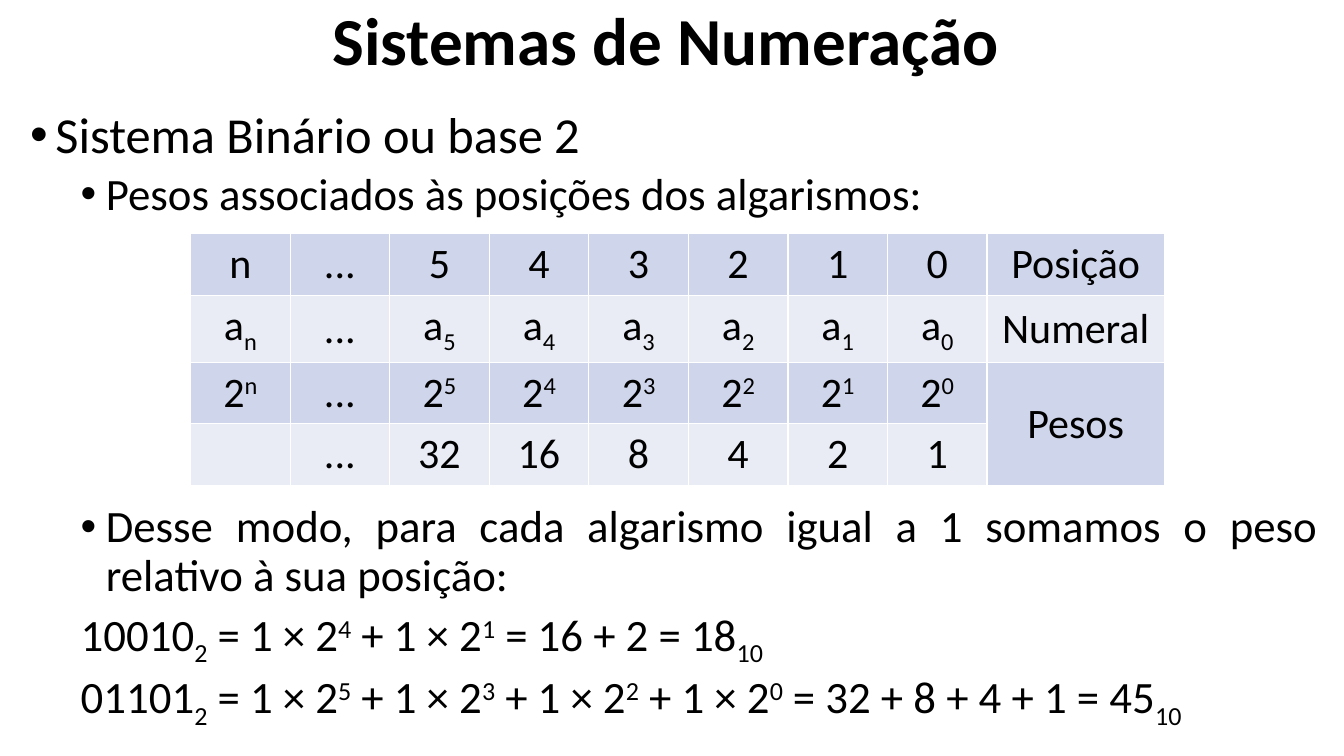
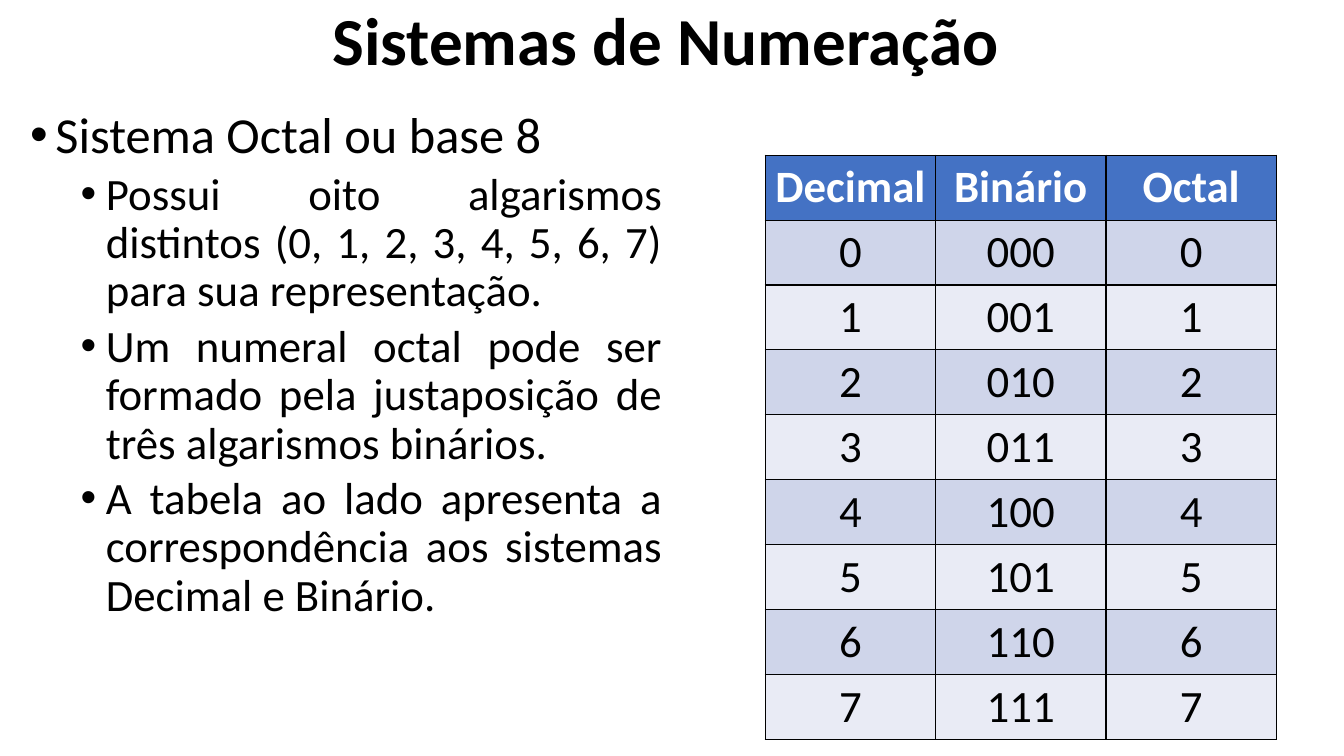
from dataclasses import dataclass
from typing import NamedTuple

from lxml import etree
from pptx import Presentation
from pptx import util as u
from pptx.dml.color import RGBColor
from pptx.enum import text as t
from pptx.oxml import ns

FONT = "Calibri"
BLACK = RGBColor(0x00, 0x00, 0x00)
WHITE = RGBColor(0xFF, 0xFF, 0xFF)
HEADER_BLUE = RGBColor(0x44, 0x72, 0xC4)
BANDS = (RGBColor(0xCF, 0xD5, 0xEA), RGBColor(0xE9, 0xEB, 0xF5))

TITLE = "Sistemas de Numeração"
LEFT = 0.2
BODY_TOP, BODY_HEIGHT = 1.04, 6.2
ROW_HEIGHT = 0.59
CELL_MARGIN = 0.05
BORDER_WIDTH = 0.96
TABLE_GAP = 203
WEIGHTS_WIDTH, LABEL_WIDTH = 9.66, 1.76


class Run(NamedTuple):
    text: str
    baseline: int = 0


@dataclass(frozen=True)
class Level:
    size: int
    margin: float
    hanging: float
    space_before: int


@dataclass(frozen=True)
class Line:
    runs: list[Run]
    level: Level
    space_before: int | None = None


@dataclass(frozen=True)
class Grid:
    left: float
    top: float
    widths: list[float]
    rows: list[list[list[Run]]]
    size: int
    border: RGBColor
    header: bool = False


TOPIC = Level(36, 0.25, 0.25, 10)
POINT = Level(32, 0.75, 0.25, 5)
FORMULA = Level(32, 0.5, 0, 5)


def plain(words: str) -> list[Run]:
    return [Run(words)]


def sub(base: str, index: str) -> list[Run]:
    return [Run(base), Run(index, -25000)]


def sup(base: str, exponent: str) -> list[Run]:
    return [Run(base), Run(exponent, 30000)]


def expansion(binary: str, exponents: list[int]) -> list[Run]:
    """Write a binary numeral as a sum of weights and its decimal value."""
    runs = sub(binary, "2")
    for place_number, exponent in enumerate(exponents):
        runs += sup((" + " if place_number else " = ") + "1 × 2", str(exponent))
    weights = [2 ** exponent for exponent in exponents]
    total = " + ".join(map(str, weights))
    return runs + sub(f" = {total} = {sum(weights)}", "10")


def add_runs(paragraph, runs: list[Run], size: int, color: RGBColor = BLACK,
             bold: bool = False) -> None:
    for part in runs:
        run = paragraph.add_run()
        run.text = part.text
        font = run.font
        font.name, font.size, font.bold = FONT, u.Pt(size), bold
        font.color.rgb = color
        if part.baseline:
            run._r.get_or_add_rPr().set("baseline", str(part.baseline))


def set_bullet(paragraph, level: Level) -> None:
    properties = paragraph._p.get_or_add_pPr()
    properties.set("marL", str(u.Inches(level.margin)))
    properties.set("indent", str(-u.Inches(level.hanging)))
    if level.hanging:
        etree.SubElement(properties, ns.qn("a:buFont"), typeface="Arial")
        etree.SubElement(properties, ns.qn("a:buChar"), char="•")
    else:
        etree.SubElement(properties, ns.qn("a:buNone"))


def place(shape, left: float, top: float, width: float, height: float) -> None:
    shape.left, shape.top = u.Inches(left), u.Inches(top)
    shape.width, shape.height = u.Inches(width), u.Inches(height)


def add_slide(deck, body_width: float, lines: list[Line]):
    slide = deck.slides.add_slide(deck.slide_layouts[1])
    title, body = slide.placeholders
    place(title, LEFT, 0.03, 12.81, 0.81)
    place(body, LEFT, BODY_TOP, body_width, BODY_HEIGHT)
    for holder in (title, body):
        holder.text_frame.word_wrap = True
        holder.text_frame.auto_size = t.MSO_AUTO_SIZE.NONE
    title.text_frame.vertical_anchor = t.MSO_ANCHOR.MIDDLE

    heading = title.text_frame.paragraphs[0]
    heading.alignment = t.PP_ALIGN.CENTER
    heading.line_spacing = 0.9
    add_runs(heading, plain(TITLE), 48, bold=True)

    for number, line in enumerate(lines):
        frame = body.text_frame
        paragraph = frame.add_paragraph() if number else frame.paragraphs[0]
        paragraph.level = 1 if line.level is POINT else 0
        set_bullet(paragraph, line.level)
        paragraph.alignment = t.PP_ALIGN.JUSTIFY
        paragraph.line_spacing = 0.9
        gap = line.space_before or line.level.space_before
        paragraph.space_before = u.Pt(gap if number else 0)
        add_runs(paragraph, line.runs, line.level.size)
    return slide


def set_borders(cell, color: RGBColor) -> None:
    properties = cell._tc.get_or_add_tcPr()
    for side in ("lnL", "lnR", "lnT", "lnB"):
        edge = etree.SubElement(properties, ns.qn(f"a:{side}"),
                                w=str(u.Pt(BORDER_WIDTH)))
        fill = etree.SubElement(edge, ns.qn("a:solidFill"))
        etree.SubElement(fill, ns.qn("a:srgbClr"), val=str(color))


def add_grid(slide, grid: Grid):
    frame = slide.shapes.add_table(
        len(grid.rows), len(grid.widths), u.Inches(grid.left), u.Inches(grid.top),
        u.Inches(sum(grid.widths)), u.Inches(ROW_HEIGHT * len(grid.rows)))
    table = frame.table
    table.first_row = grid.header
    for column, width in zip(table.columns, grid.widths):
        column.width = u.Inches(width)
    for row_number, row in enumerate(grid.rows):
        is_header = grid.header and row_number == 0
        band = HEADER_BLUE if is_header else BANDS[(row_number - grid.header) % 2]
        for column_number, runs in enumerate(row):
            cell = table.cell(row_number, column_number)
            set_borders(cell, grid.border)
            cell.fill.solid()
            cell.fill.fore_color.rgb = band
            cell.vertical_anchor = t.MSO_ANCHOR.MIDDLE
            cell.margin_left = cell.margin_right = u.Inches(CELL_MARGIN)
            paragraph = cell.text_frame.paragraphs[0]
            paragraph.alignment = t.PP_ALIGN.CENTER
            add_runs(paragraph, runs, grid.size,
                     WHITE if is_header else BLACK, is_header)
    return table


def add_binary_slide(deck) -> None:
    slide = add_slide(deck, 12.98, [
        Line(plain("Sistema Binário ou base 2"), TOPIC),
        Line(plain("Pesos associados às posições dos algarismos:"), POINT),
        Line(plain("Desse modo, para cada algarismo igual a 1 somamos o peso "
                   "relativo à sua posição:"), POINT, TABLE_GAP),
        Line(expansion("10010", [4, 1]), FORMULA),
        Line(expansion("01101", [5, 3, 2, 0]), FORMULA),
    ])
    positions = range(5, -1, -1)
    dots = plain("...")
    rows = [
        [plain("n"), dots, *(plain(str(i)) for i in positions), plain("Posição")],
        [sub("a", "n"), dots, *(sub("a", str(i)) for i in positions),
         plain("Numeral")],
        [sup("2", "n"), dots, *(sup("2", str(i)) for i in positions),
         plain("Pesos")],
        [[], dots, *(plain(str(2 ** i)) for i in positions), []],
    ]
    digit_columns = len(rows[0]) - 1
    digit_width = (WEIGHTS_WIDTH - LABEL_WIDTH) / digit_columns
    widths = [digit_width] * digit_columns + [LABEL_WIDTH]
    weights = add_grid(slide, Grid(1.89, 2.32, widths, rows, 30, WHITE))
    weights.cell(2, digit_columns).merge(weights.cell(3, digit_columns))


def add_octal_slide(deck) -> None:
    slide = add_slide(deck, 6.47, [
        Line(plain("Sistema Octal ou base 8"), TOPIC),
        Line(plain("Possui oito algarismos distintos (0, 1, 2, 3, 4, 5, 6, 7) "
                   "para sua representação."), POINT),
        Line(plain("Um numeral octal pode ser formado pela justaposição de "
                   "três algarismos binários."), POINT),
        Line(plain("A tabela ao lado apresenta a correspondência aos sistemas "
                   "Decimal e Binário."), POINT),
    ])
    rows = [[plain(name) for name in ("Decimal", "Binário", "Octal")]]
    rows += [[plain(f"{value:{base}}") for base in ("d", "03b", "o")]
             for value in range(8)]
    add_grid(slide, Grid(7.59, 1.54, [1.69] * 3, rows, 32, BLACK, header=True))


def main() -> None:
    deck = Presentation()
    deck.slide_width, deck.slide_height = u.Inches(13.33), u.Inches(7.5)
    add_binary_slide(deck)
    add_octal_slide(deck)
    deck.save("out.pptx")


if __name__ == "__main__":
    main()
